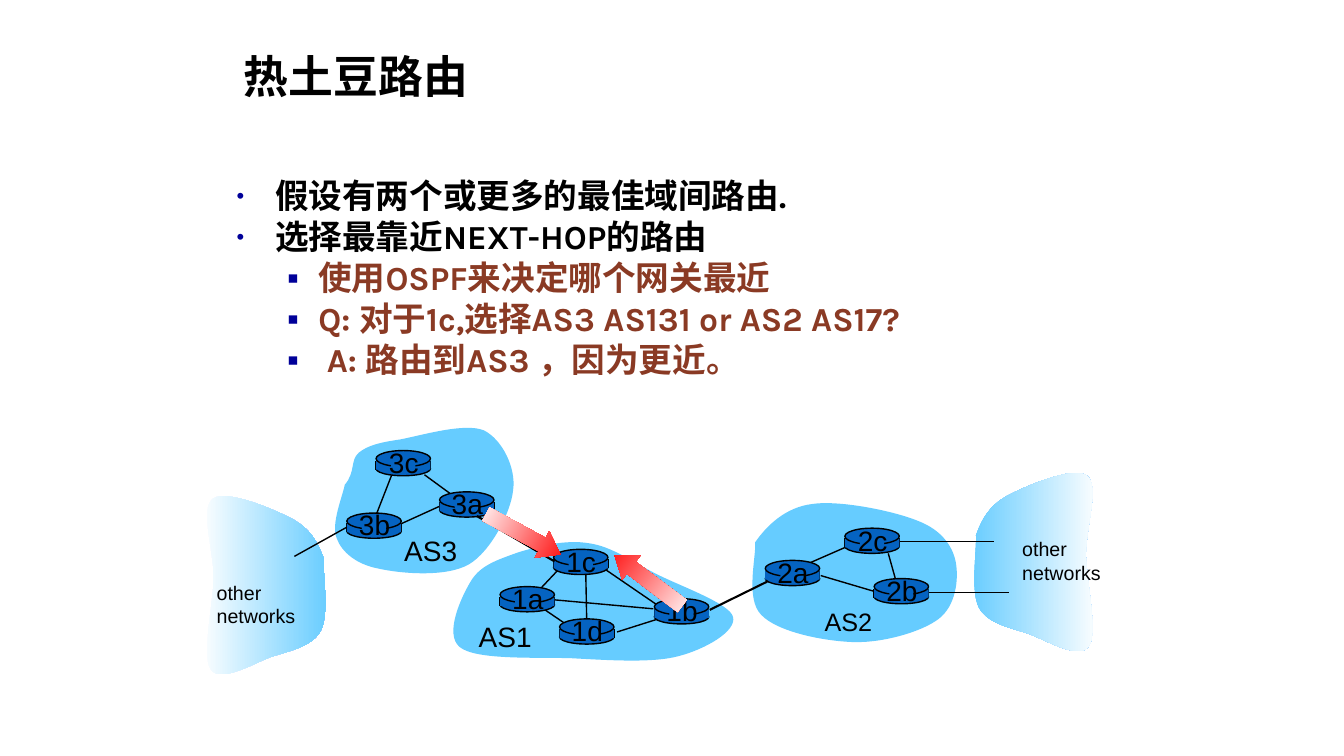
from pptx import Presentation
from pptx.dml.color import RGBColor
from pptx.enum.shapes import MSO_CONNECTOR, MSO_SHAPE
from pptx.enum.text import MSO_ANCHOR, PP_ALIGN
from pptx.oxml.ns import qn
from pptx.util import Inches, Pt
from lxml import etree

STRAIGHT = MSO_CONNECTOR.STRAIGHT
OVAL, BOX, LEFT_ARROW = MSO_SHAPE.OVAL, MSO_SHAPE.RECTANGLE, MSO_SHAPE.LEFT_ARROW
LEFT, CENTER = PP_ALIGN.LEFT, PP_ALIGN.CENTER
TOP, MIDDLE = MSO_ANCHOR.TOP, MSO_ANCHOR.MIDDLE

THEME = {
    "ink": "000000", "detail": "8A3A24", "bullet": "000099",
    "cloud": "66CCFF", "router": "0563C1", "arrow": "FF0000", "fade": "FFFFFF",
    "cjk": "Noto Sans CJK SC", "body": "Karla", "diagram": "Arial",
    "title_size": 32, "body_size": 24, "node_size": 20, "as2_size": 18, "note_size": 14,
    "point_gap": 4.8,
}

TITLE = "热土豆路由"
POINTS = [
    (0, "假设有两个或更多的最佳域间路由."),
    (0, "选择最靠近NEXT-HOP的路由"),
    (1, "使用OSPF来决定哪个网关最近"),
    (1, "Q: 对于1c,选择AS3 AS131 or AS2 AS17?"),
    (1, " A: 路由到AS3 ，因为更近。"),
]
LEVELS = [
    {"margin": 0.38, "hang": 0.38, "mark": "•", "percent": 65, "color": "ink"},
    {"margin": 0.81, "hang": 0.31, "mark": "▪", "percent": 100, "color": "detail"},
]

AS_CLOUDS = [
    [(7.49, 5.38), (7.6, 5.22, 7.79, 5.03, 8.06, 5), (8.33, 4.96, 8.87, 5.07, 9.11, 5.17),
     (9.34, 5.26, 9.45, 5.42, 9.48, 5.58), (9.51, 5.75, 9.48, 6.01, 9.31, 6.14),
     (9.14, 6.27, 8.75, 6.38, 8.46, 6.37), (8.17, 6.36, 7.71, 6.27, 7.55, 6.1),
     (7.39, 5.94, 7.5, 5.53, 7.49, 5.38)],
    [(3.42, 4.81), (3.53, 4.68, 3.47, 4.57, 3.56, 4.49), (3.65, 4.42, 3.76, 4.39, 3.97, 4.36),
     (4.18, 4.32, 4.61, 4.19, 4.8, 4.27), (4.98, 4.36, 5.12, 4.64, 5.09, 4.86),
     (5.07, 5.08, 4.87, 5.47, 4.65, 5.6), (4.42, 5.73, 3.97, 5.69, 3.75, 5.64),
     (3.54, 5.6, 3.39, 5.48, 3.34, 5.34), (3.28, 5.2, 3.4, 4.92, 3.42, 4.81)],
    [(4.68, 5.75), (4.78, 5.6, 4.95, 5.55, 5.14, 5.48), (5.34, 5.42, 5.61, 5.35, 5.84, 5.39),
     (6.07, 5.42, 6.28, 5.58, 6.52, 5.7), (6.76, 5.82, 7.24, 5.99, 7.27, 6.12),
     (7.31, 6.26, 7, 6.44, 6.73, 6.51), (6.47, 6.58, 6.03, 6.55, 5.66, 6.53),
     (5.3, 6.52, 4.72, 6.55, 4.56, 6.42), (4.4, 6.29, 4.58, 5.91, 4.68, 5.75)],
]
OTHER_NETWORK = [
    (9.68, 5.31), (9.74, 5.15, 9.81, 5.02, 9.99, 4.92), (10.18, 4.82, 10.65, 4.62, 10.78, 4.72),
    (10.91, 4.82, 10.77, 5.22, 10.77, 5.51), (10.78, 5.79, 10.89, 6.28, 10.8, 6.41),
    (10.71, 6.55, 10.39, 6.36, 10.21, 6.29), (10.03, 6.23, 9.8, 6.19, 9.71, 6.03),
    (9.62, 5.86, 9.69, 5.46, 9.68, 5.31),
]
MIRROR_SUM, MIRROR_DROP = 12.89, 0.23

LABELS = [
    (["AS3"], (3.91, 5.24, 0.73, 0.43), "node_size"),
    (["AS2"], (8.08, 5.97, 0.67, 0.4), "as2_size"),
    (["AS1"], (4.65, 6.1, 0.73, 0.43), "node_size"),
    (["other", "networks"], (10.04, 5.28, 0.99, 0.57), "note_size"),
    (["other", "networks"], (2.05, 5.71, 0.99, 0.57), "note_size"),
]
ROUTERS = {
    "3b": (3.44, 5.09), "3c": (3.73, 4.47), "3a": (4.36, 4.88),
    "1c": (5.49, 5.45), "1a": (4.96, 5.82), "1d": (5.55, 6.14), "1b": (6.49, 5.94),
    "2a": (7.59, 5.56), "2c": (8.38, 5.24), "2b": (8.67, 5.74),
}
INNER_LINKS = [
    (3.97, 5.2, 4.41, 5, 1), (4.47, 4.9, 4.21, 4.71, 1), (3.89, 4.7, 3.73, 5.11, 1),
    (5.53, 5.66, 5.37, 5.83, 1), (5.81, 5.69, 5.82, 6.19, 1), (5.99, 5.64, 6.53, 6.01, 1),
    (6.53, 6.14, 6.12, 6.27, 1), (6.48, 6.04, 5.49, 5.95, 1), (5.39, 6.04, 5.61, 6.19, 1),
    (7.95, 5.62, 8.43, 5.41, 1), (8.14, 5.71, 8.68, 5.87, 1), (8.81, 5.49, 8.88, 5.74, 1),
    (8.92, 5.37, 9.86, 5.37, 0.75), (9.2, 5.88, 10.01, 5.88, 0.75),
]
OUTER_LINKS = [
    (3.44, 5.23, 2.92, 5.52, 1), (7.04, 6.05, 7.61, 5.77, 1.5), (4.73, 5.12, 5.5, 5.57, 1.5),
]
ROUTE_ARROWS = [(4.77, 5.15, 208.5), (6.01, 5.61, 36.9)]

prs = Presentation()
prs.slide_width, prs.slide_height = Inches(13.33), Inches(7.5)
shapes = prs.slides.add_slide(prs.slide_layouts[6]).shapes


def rgb(role):
    return RGBColor.from_string(THEME[role])


def paint(part, fill, outlined=False, fade=None):
    part.shadow.inherit = False
    if fade:
        part.fill.gradient()
        part.fill.gradient_angle = 0
        for stop, role in zip(part.fill.gradient_stops, (fill, fade)):
            stop.color.rgb = rgb(role)
    else:
        part.fill.solid()
        part.fill.fore_color.rgb = rgb(fill)
    if outlined:
        part.line.color.rgb = rgb("ink")
        part.line.width = Pt(1)
    else:
        part.line.fill.background()


def add_part(preset, x, y, w, h, fill, outlined=False, fade=None):
    part = shapes.add_shape(preset, Inches(x), Inches(y), Inches(w), Inches(h))
    paint(part, fill, outlined, fade)
    return part


def add_link(x1, y1, x2, y2, width=1):
    link = shapes.add_connector(STRAIGHT, Inches(x1), Inches(y1), Inches(x2), Inches(y2))
    link.line.color.rgb = rgb("ink")
    link.line.width = Pt(width)
    etree.SubElement(link._element.spPr, qn("a:effectLst"))


def add_cloud(outline, fill, fade=None):
    values = [Inches(v) for node in outline for v in node]
    points = list(zip(values[::2], values[1::2]))
    builder = shapes.build_freeform(*points[0])
    builder.add_line_segments(points[1:], close=True)
    cloud = builder.convert_to_shape()
    segments = list(cloud._element.iter(qn("a:lnTo")))
    for first in range(0, len(segments), 3):
        curve = etree.Element(qn("a:cubicBezTo"))
        segments[first].addprevious(curve)
        for segment in segments[first:first + 3]:
            curve.append(segment[0])
            segment.getparent().remove(segment)
    paint(cloud, fill, fade=fade)


def add_text(lines, place, size, face, align=LEFT, wrap=False, bold=False, anchor=TOP):
    frame = shapes.add_textbox(*map(Inches, place)).text_frame
    frame.word_wrap = wrap
    frame.vertical_anchor = anchor
    frame.text = "\n".join(lines)
    for paragraph in frame.paragraphs:
        paragraph.alignment = align
        for run in paragraph.runs:
            run.font.size, run.font.bold = Pt(THEME[size]), bold
            run.font.name = THEME[face]
            run.font.color.rgb = rgb("ink")
            east_asian = etree.SubElement(run._r.get_or_add_rPr(), qn("a:ea"))
            east_asian.set("typeface", THEME["cjk"])
    return frame


def add_bullet(paragraph, level):
    style = LEVELS[level]
    paragraph.level = level
    paragraph.line_spacing = 0.85
    props = paragraph._p.get_or_add_pPr()
    props.set("marL", str(Inches(style["margin"])))
    props.set("indent", str(-Inches(style["hang"])))
    color = etree.SubElement(props, qn("a:buClr"))
    etree.SubElement(color, qn("a:srgbClr")).set("val", THEME["bullet"])
    etree.SubElement(props, qn("a:buSzPct")).set("val", str(style["percent"] * 1000))
    etree.SubElement(props, qn("a:buFont")).set("typeface", THEME["diagram"])
    etree.SubElement(props, qn("a:buChar")).set("char", style["mark"])
    for run in paragraph.runs:
        run.font.color.rgb = rgb(style["color"])


def add_router(name, x, y):
    add_part(OVAL, x, y + 0.11, 0.54, 0.14, "router", True)
    for side in (x, x + 0.54):
        add_link(side, y + 0.1, side, y + 0.19)
    add_part(BOX, x, y + 0.1, 0.54, 0.09, "router")
    add_part(OVAL, x, y, 0.54, 0.16, "router", True)
    add_part(BOX, x + 0.15, y + 0.02, 0.24, 0.2, "router")
    add_text([name], (x + 0.02, y - 0.1, 0.51, 0.43), "node_size", "diagram", CENTER)


title = add_text([TITLE], (2.32, 0.4, 7.3, 0.77), "title_size", "cjk",
                 wrap=True, bold=True, anchor=MIDDLE)
title.paragraphs[0].line_spacing = 0.9
body = add_text([text for _, text in POINTS], (2.25, 1.75, 9, 5.08), "body_size", "body",
                wrap=True, bold=True)
for paragraph, (level, _) in zip(body.paragraphs, POINTS):
    add_bullet(paragraph, level)
for paragraph in body.paragraphs[1:]:
    paragraph.space_before = Pt(THEME["point_gap"])

mirrored = [tuple(MIRROR_SUM - v if i % 2 == 0 else v + MIRROR_DROP for i, v in enumerate(node))
            for node in OTHER_NETWORK]
add_cloud(OTHER_NETWORK, "cloud", "fade")
add_cloud(mirrored, "fade", "cloud")
for outline in AS_CLOUDS:
    add_cloud(outline, "cloud")
for lines, place, size in LABELS:
    add_text(lines, place, size, "diagram")
for link in INNER_LINKS:
    add_link(*link)
for name, (x, y) in ROUTERS.items():
    add_router(name, x, y)
for link in OUTER_LINKS:
    add_link(*link)
for x, y, angle in ROUTE_ARROWS:
    arrow = add_part(LEFT_ARROW, x, y, 0.84, 0.3, "arrow", fade="fade")
    arrow.adjustments[0], arrow.adjustments[1] = 0.5, 0.695
    arrow.rotation = angle

prs.save("out.pptx")
